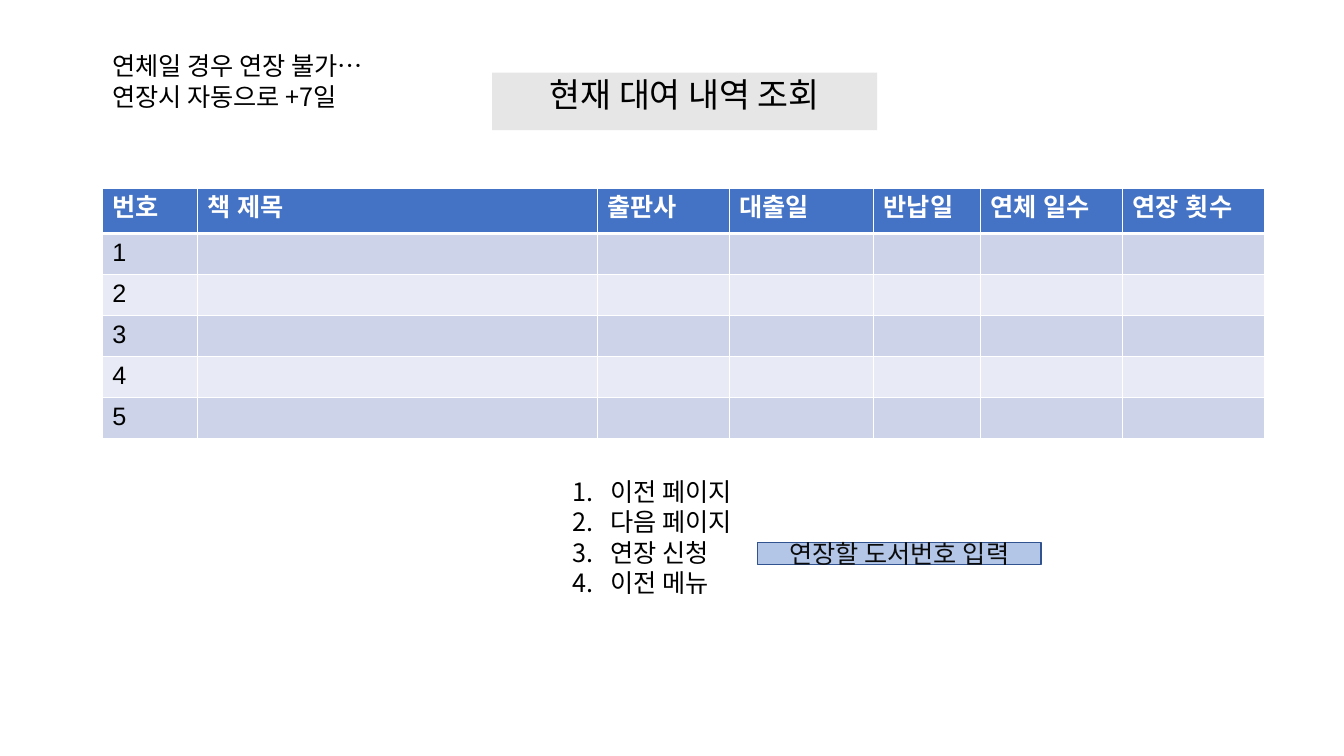
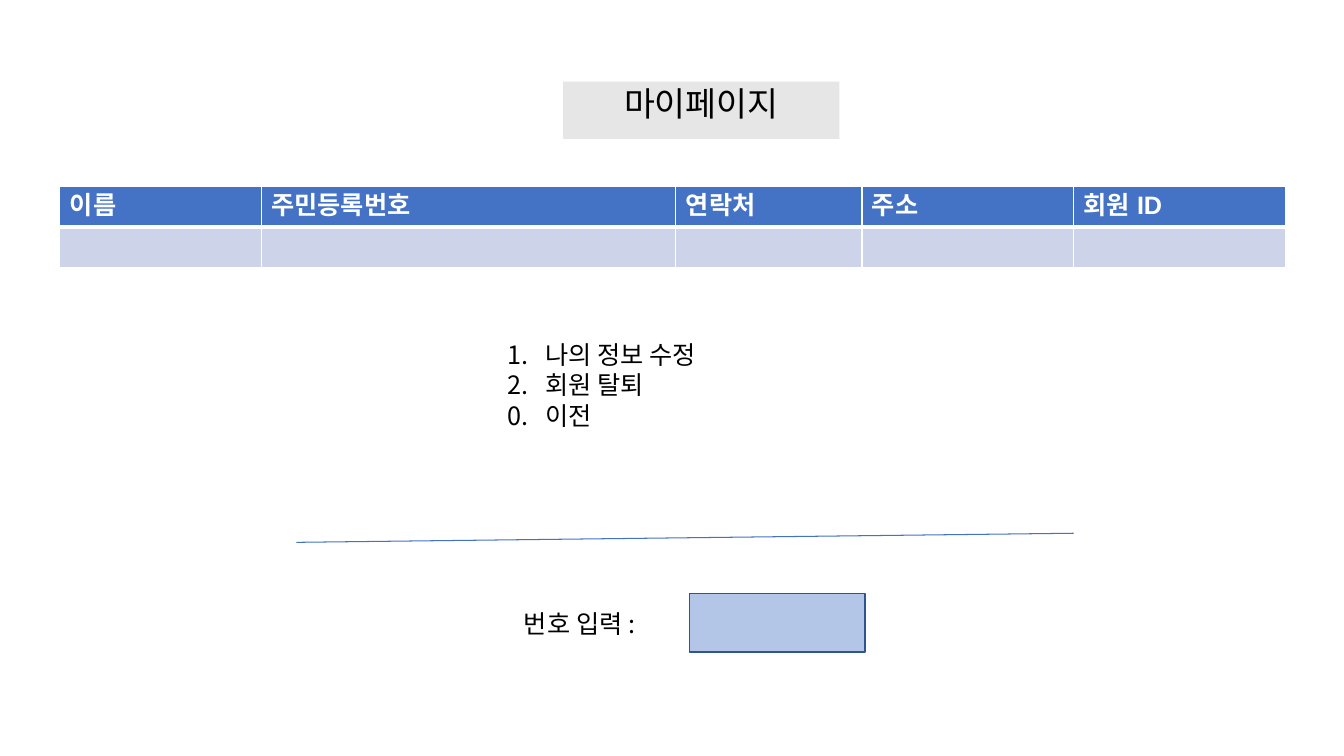
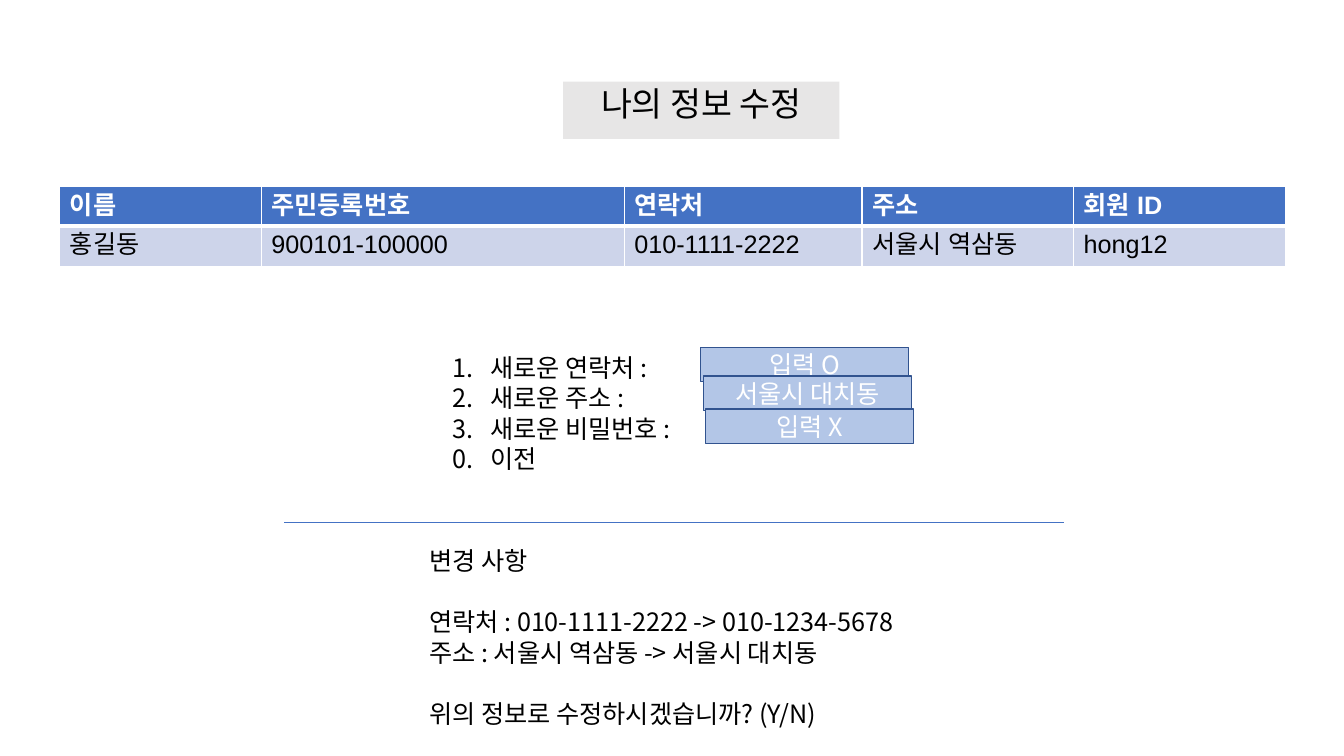
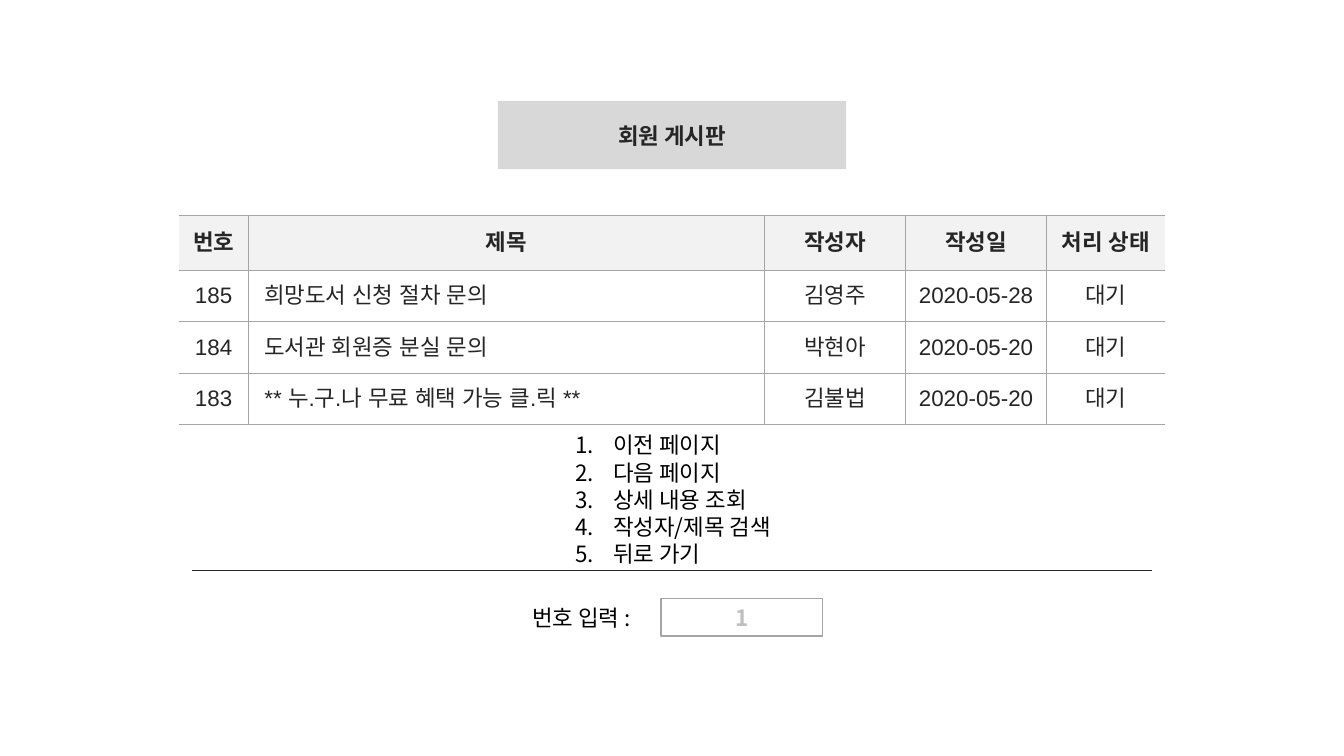
"""Build four screens of a library console: loans, my page, edit my details and member board."""
from lxml.etree import SubElement
from pptx import Presentation
from pptx.dml.color import RGBColor
from pptx.enum.shapes import MSO_CONNECTOR as LINK, MSO_SHAPE as SHAPE
from pptx.enum.text import MSO_ANCHOR as ANCHOR, PP_ALIGN as ALIGN
from pptx.oxml.ns import qn
from pptx.util import Pt

SANS, TABLE_FONT = "Noto Sans CJK KR", "Arial"
BLACK, WHITE, DARK, GREY = "000000", "FFFFFF", "262626", "A5A5A5"
BLUE, PALE_BLUE, NAVY = "4472C4", "B3C6E7", "31538F"
HANG = 27

TITLE = dict(fill="E7E6E6", size=24, leading=1.09, align=ALIGN.CENTER)
BOARD_TITLE = dict(fill="D8D8D8", size=16, ink=DARK, bold=True, align=ALIGN.CENTER, anchor=ANCHOR.MIDDLE)
FIELD = dict(fill=PALE_BLUE, edge=NAVY, ink=WHITE, align=ALIGN.CENTER, anchor=ANCHOR.MIDDLE)
HINT = FIELD | dict(ink="0C0C0C")
BOARD_FIELD = FIELD | dict(fill=WHITE, edge=GREY, ink="BFBFBF", bold=True, size=16)
NOTE = dict()
MENU = dict(numbered=True)
BOARD_NOTE = dict(size=16)
BOARD_MENU = dict(size=16, numbered=True)

BLUE_TABLE = dict(size=18, head_ink=WHITE, ink=BLACK, head_fill=BLUE, fills=["CDD4EA", "E8EBF5"],
                  border=WHITE, width=1, head_width=3, open_sides=False, centred=False)
BOARD_TABLE = dict(size=16, head_ink=DARK, ink=DARK, head_fill="F2F2F2", fills=[WHITE],
                   border=GREY, width=0.75, head_width=0.75, open_sides=True, centred=True)

member_title = (402.3, 58.3, 197.3, 41)
member_heads = ["이름", "주민등록번호", "연락처", "주소", "회원 ID"]

screens = [
    dict(
        table=(BLUE_TABLE, 73, 134.8, [68, 285.8, 94.3, 103, 76.3, 101.5, 101.5], 32.1, 29.3,
               [["번호", "책 제목", "출판사", "대출일", "반납일", "연체 일수", "연장 횟수"]]
               + [[str(number)] + [""] * 6 for number in range(1, 6)]),
        divider=None,
        panels=[
            (TITLE, (351.5, 52, 275, 41), ["현재 대여 내역 조회"]),
            (MENU, (402, 336.3, 139, 94), ["이전 페이지", "다음 페이지", "연장 신청", "이전 메뉴"]),
            (HINT, (541, 387.4, 202.6, 16), ["연장할 도서번호 입력"]),
            (NOTE, (73, 32.4, 229, 51), ["연체일 경우 연장 불가…", "연장시 자동으로 +7일"]),
        ]),
    dict(
        table=(BLUE_TABLE, 42.7, 133.4, [144, 296, 133, 151.2, 151.2], 28.1, 29.2,
               [member_heads, [""] * 5]),
        divider=(BLUE, 211.7, 387.4, 766.8, 380.9),
        panels=[
            (TITLE, member_title, ["마이페이지"]),
            (MENU, (355.7, 238.3, 267, 73), ["나의 정보 수정", "회원 탈퇴", "0.\t이전"]),
            (NOTE, (367.2, 430.6, 207, 29), ["번호 입력 :"]),
            (FIELD, (492.5, 424, 125.3, 41.8), []),
        ]),
    dict(
        table=(BLUE_TABLE, 42.7, 133.4, [144, 259.2, 169.8, 151.2, 151.2], 28.1, 29.2,
               [member_heads, ["홍길동", "900101-100000", "010-1111-2222", "서울시 역삼동", "hong12"]]),
        divider=(BLUE, 203, 373.5, 760.2, 373.5),
        panels=[
            (TITLE, member_title, ["나의 정보 수정"]),
            (MENU, (316, 247.7, 267, 94), ["새로운 연락처 :", "새로운 주소 :", "새로운 비밀번호 :", "0.\t이전"]),
            (FIELD, (500.4, 248.2, 148.6, 24.5), ["입력 O"]),
            (FIELD, (502.5, 268.6, 148.6, 24.5), ["서울시 대치동"]),
            (FIELD, (503.8, 292.3, 148.6, 24.5), ["입력 X"]),
            (NOTE | dict(gaps=(1, 3)), (299.5, 386, 421, 138),
             ["변경 사항", "연락처 : 010-1111-2222 -> 010-1234-5678",
              "주소 : 서울시 역삼동 -> 서울시 대치동", "위의 정보로 수정하시겠습니까? (Y/N)"]),
        ]),
    dict(
        table=(BOARD_TABLE, 127.7, 153.6, [49.7, 368.6, 100.8, 100.8, 84.8], 39.3, 36.9,
               [["번호", "제목", "작성자", "작성일", "처리 상태"],
                ["185", "희망도서 신청 절차 문의", "김영주", "2020-05-28", "대기"],
                ["184", "도서관 회원증 분실 문의", "박현아", "2020-05-20", "대기"],
                ["183", "** 누.구.나 무료 혜택 가능 클.릭 **", "김불법", "2020-05-20", "대기"]]),
        divider=(DARK, 137.2, 407.5, 822.9, 407.5),
        panels=[
            (BOARD_NOTE, (373, 427.7, 100, 26.6), ["번호 입력 :"]),
            (BOARD_FIELD, (472.3, 427.7, 115.3, 26.6), ["1"]),
            (BOARD_MENU, (404, 304.5, 167, 104),
             ["이전 페이지", "다음 페이지", "상세 내용 조회", "작성자/제목 검색", "뒤로 가기"]),
            (BOARD_TITLE, (355.7, 72, 248.8, 48.8), ["회원 게시판"]),
        ]),
]


def rgb(code):
    """Turn a hex string into a colour."""
    return RGBColor.from_string(code)


def write(frame, lines, size=18, ink=BLACK, bold=False, font=SANS, align=ALIGN.LEFT,
          leading=1.21, numbered=False, gaps=()):
    """Fill a text frame with styled lines, numbered if asked."""
    frame.text = "\n".join(lines)
    for position, paragraph in enumerate(frame.paragraphs):
        paragraph.alignment = align
        if leading:
            paragraph.line_spacing = Pt(round(size * leading, 1))
        if position in gaps:
            paragraph.space_before = Pt(round(size * leading, 1))
        if numbered:
            properties = paragraph._p.get_or_add_pPr()
            properties.set("marL", str(Pt(HANG)))
            properties.set("indent", str(-Pt(HANG)))
            if not paragraph.text.startswith("0."):
                SubElement(properties, qn("a:buAutoNum")).set("type", "arabicPeriod")
        for run in paragraph.runs:
            run.font.name = font
            run.font.size = Pt(size)
            run.font.bold = bold
            run.font.color.rgb = rgb(ink)
            SubElement(run._r.get_or_add_rPr(), qn("a:ea")).set("typeface", font)


deck = Presentation()
deck.slide_width, deck.slide_height = Pt(960), Pt(540)

for screen in screens:
    slide = deck.slides.add_slide(deck.slide_layouts[6])

    look, left, top, widths, head_height, row_height, records = screen["table"]
    heights = [head_height] + [row_height] * (len(records) - 1)
    grid = slide.shapes.add_table(len(records), len(widths), Pt(left), Pt(top),
                                  Pt(sum(widths)), Pt(sum(heights))).table
    grid.first_row = grid.horz_banding = False
    for column, width in zip(grid.columns, widths):
        column.width = Pt(width)
    for r, (record, height) in enumerate(zip(records, heights)):
        grid.rows[r].height = Pt(height)
        is_head = r == 0
        for c, value in enumerate(record):
            cell = grid.cell(r, c)
            is_subject = look["centred"] and c == 1 and not is_head
            if look["centred"]:
                cell.margin_left = Pt(11.5 if is_subject else 0)
                cell.margin_right = cell.margin_top = cell.margin_bottom = 0
                cell.vertical_anchor = ANCHOR.MIDDLE
            write(cell.text_frame, [value], look["size"], look["head_ink" if is_head else "ink"], is_head,
                  TABLE_FONT, ALIGN.CENTER if look["centred"] and not is_subject else ALIGN.LEFT, None)
            sides = dict(lnL=look["width"], lnR=look["width"],
                         lnT=look["head_width" if r == 1 else "width"],
                         lnB=look["head_width" if is_head else "width"])
            if look["open_sides"] and c == 0:
                sides["lnL"] = 0
            if look["open_sides"] and c == len(record) - 1:
                sides["lnR"] = 0
            for side, width in sides.items():
                border = SubElement(cell._tc.get_or_add_tcPr(), qn(f"a:{side}"), w=str(Pt(width)))
                if width:
                    SubElement(SubElement(border, qn("a:solidFill")), qn("a:srgbClr"), val=look["border"])
                else:
                    SubElement(border, qn("a:noFill"))
            cell.fill.solid()
            fills = look["fills"]
            cell.fill.fore_color.rgb = rgb(look["head_fill"] if is_head else fills[(r - 1) % len(fills)])

    if screen["divider"]:
        ink, *ends = screen["divider"]
        divider = slide.shapes.add_connector(LINK.STRAIGHT, *map(Pt, ends))
        divider.line.color.rgb = rgb(ink)
        divider.line.width = Pt(0.75)
        SubElement(divider._element.spPr, qn("a:effectLst"))

    for style, place, lines in screen["panels"]:
        text_style = dict(style)
        fill, edge = text_style.pop("fill", None), text_style.pop("edge", None)
        anchor = text_style.pop("anchor", ANCHOR.TOP)
        if fill:
            panel = slide.shapes.add_shape(SHAPE.RECTANGLE, *map(Pt, place))
            panel.shadow.inherit = False
            panel.fill.solid()
            panel.fill.fore_color.rgb = rgb(fill)
            if edge:
                panel.line.color.rgb = rgb(edge)
                panel.line.width = Pt(1)
            else:
                panel.line.fill.background()
        else:
            panel = slide.shapes.add_textbox(*map(Pt, place))
        panel.text_frame.word_wrap = True
        panel.text_frame.vertical_anchor = anchor
        if lines:
            write(panel.text_frame, lines, **text_style)

deck.save("out.pptx")
